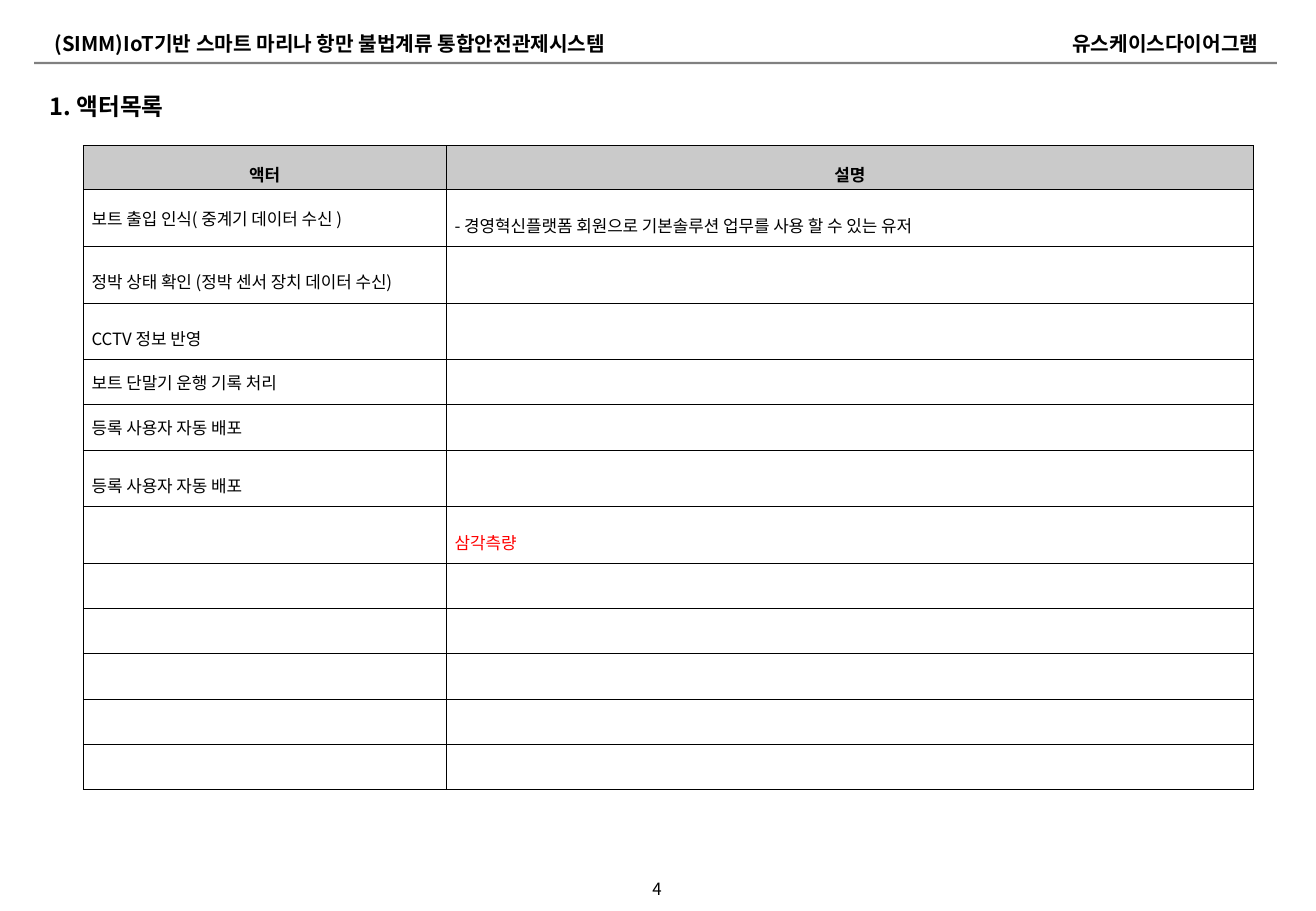
import pptx
import pptx.util
import pptx.dml.color
import pptx.enum.shapes
import pptx.enum.text
import pptx.oxml.ns
import lxml.etree

Pt = pptx.util.Pt
AL = pptx.enum.text.PP_ALIGN
MID = pptx.enum.text.MSO_ANCHOR.MIDDLE
qn = pptx.oxml.ns.qn

FONT = "Noto Sans CJK KR"
BLACK, GREY, RED, HEAD = "000000", "808080", "FF0000", "CACACA"

TEXTS = [
    ("(SIMM)IoT기반 스마트 마리나 항만 불법계류 통합안전관제시스템",
     (25.2, 15.1, 501.8, 21.6), AL.LEFT, {"size": Pt(12), "bold": True}),
    ("유스케이스다이어그램",
     (384.5, 15.1, 368.6, 21.6), AL.RIGHT, {"size": Pt(12), "bold": True}),
    ("1. 액터목록",
     (22.3, 51.1, 672.5, 23.8), AL.LEFT, {"size": Pt(14), "bold": True}),
    ("4", (375.8, 517, 27.4, 19.4), AL.CENTER, {"size": Pt(10), "bold": False}),
]
RULE = (20.2, 36.7, 736.6, 1.4)

HEADER = ("액터", "설명")
ROWS = [
    ("보트 출입 인식( 중계기 데이터 수신 )", "- 경영혁신플랫폼 회원으로 기본솔루션 업무를 사용 할 수 있는 유저"),
    ("정박 상태 확인 (정박 센서 장치 데이터 수신)", ""),
    ("CCTV 정보 반영", ""),
    ("보트 단말기 운행 기록 처리", ""),
    ("등록 사용자 자동 배포", ""),
    ("등록 사용자 자동 배포", ""),
    ("", "삼각측량"),
] + [("", "")] * 5
SPACED = {(1, 1), (2, 0), (3, 0), (6, 0), (7, 1)}
COLS = (215.2, 478.6)
LEFT, TOP = 49.2, 86.2
HEAD_H, SPACED_H, PLAIN_H = 26.1, 33.6, 26.8


def color(s):
    return pptx.dml.color.RGBColor.from_string(s)


def write(tf, text, align, fmt, c=BLACK, spacing=None):
    p = tf.paragraphs[0]
    p.alignment = align
    if spacing:
        p.line_spacing = spacing
    if not text:
        lxml.etree.SubElement(p._p, qn("a:endParaRPr"), sz=str(int(fmt["size"].pt * 100)))
        return
    r = p.add_run()
    r.text = text
    for k, v in {"name": FONT, **fmt}.items():
        setattr(r.font, k, v)
    r.font.color.rgb = color(c)
    lxml.etree.SubElement(r._r.get_or_add_rPr(), qn("a:ea"), typeface=FONT)


def border(cell):
    tcPr = cell._tc.get_or_add_tcPr()
    for i, side in enumerate(("lnL", "lnR", "lnT", "lnB")):
        ln = lxml.etree.Element(qn("a:" + side), w=str(Pt(0.28)))
        fill = lxml.etree.SubElement(ln, qn("a:solidFill"))
        lxml.etree.SubElement(fill, qn("a:srgbClr"), val=BLACK)
        tcPr.insert(i, ln)


prs = pptx.Presentation()
prs.slide_width, prs.slide_height = Pt(780), Pt(540)
s = prs.slides.add_slide(prs.slide_layouts[6])

for text, box, align, fmt in TEXTS:
    tf = s.shapes.add_textbox(*map(Pt, box)).text_frame
    tf.word_wrap = True
    tf.vertical_anchor = MID
    write(tf, text, align, fmt)

sp = s.shapes.add_shape(pptx.enum.shapes.MSO_SHAPE.RECTANGLE, *map(Pt, RULE))
sp.shadow.inherit = False
sp.fill.solid()
sp.fill.fore_color.rgb = color(GREY)
sp.line.fill.background()

grid = [HEADER] + ROWS
spaced_rows = {i for i, j in SPACED}
heights = [HEAD_H] + [SPACED_H if i in spaced_rows else PLAIN_H for i in range(1, len(grid))]
tbl = s.shapes.add_table(len(grid), len(COLS), Pt(LEFT), Pt(TOP),
                         Pt(sum(COLS)), Pt(sum(heights))).table
tbl.first_row = tbl.horz_banding = False
for col, w in zip(tbl.columns, COLS):
    col.width = Pt(w)

for i, (row, h) in enumerate(zip(grid, heights)):
    tbl.rows[i].height = Pt(h)
    head = i == 0
    for j, text in enumerate(row):
        cell = tbl.cell(i, j)
        cell.vertical_anchor = MID
        for side in ("left", "right", "top", "bottom"):
            setattr(cell, "margin_" + side, Pt(1.4 if head else 5.1))
        if head:
            cell.fill.solid()
            cell.fill.fore_color.rgb = color(HEAD)
        else:
            cell.fill.background()
        border(cell)
        spaced = (i, j) in SPACED
        align = AL.CENTER if head else AL.JUSTIFY if spaced else AL.LEFT
        write(cell.text_frame, text, align, {"size": Pt(10), "bold": head},
              RED if text == "삼각측량" else BLACK, 1.6 if head or spaced else None)

prs.save("out.pptx")
